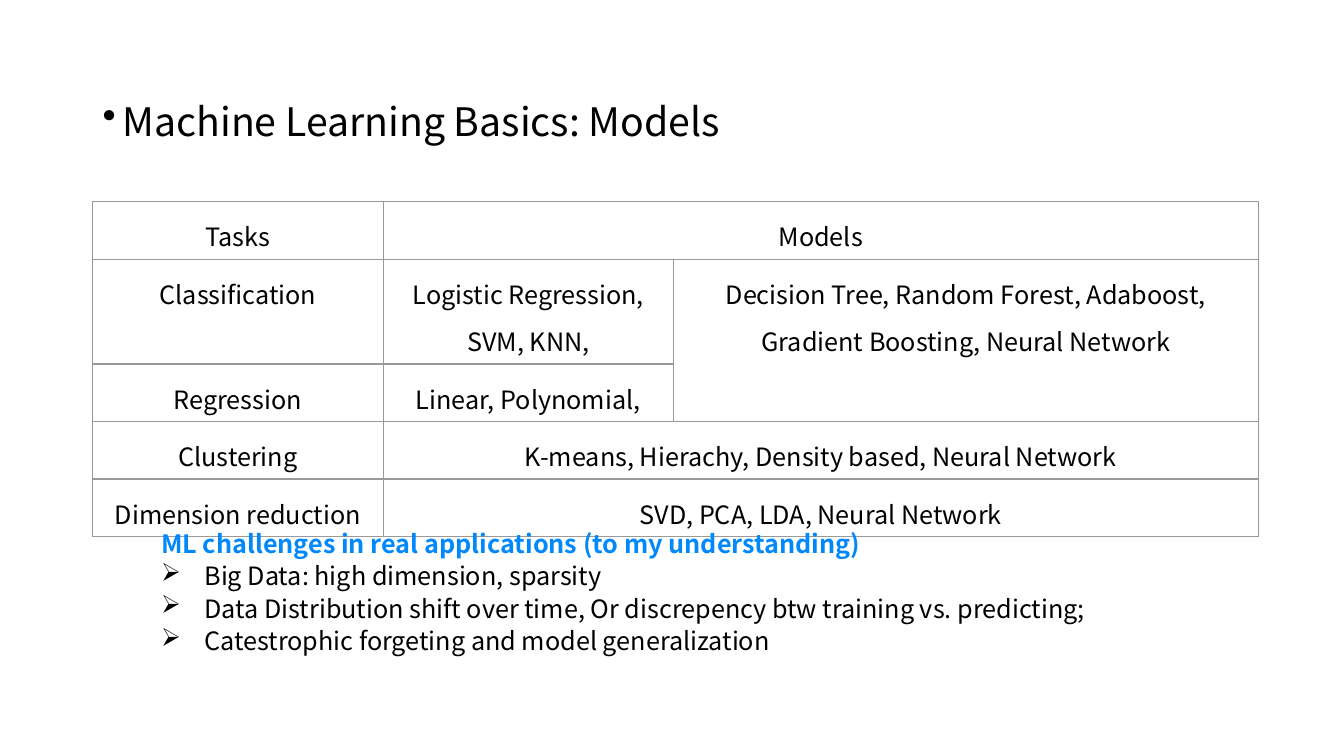
from lxml.etree import SubElement
from pptx import Presentation
from pptx.dml.color import RGBColor
from pptx.enum.text import MSO_ANCHOR, PP_ALIGN
from pptx.oxml.ns import qn
from pptx.util import Pt

EMU_PER_PX = 9144  # 100 px to the inch
FONT = "Noto Sans CJK SC"
BLACK = RGBColor(0x00, 0x00, 0x00)
WHITE = RGBColor(0xFF, 0xFF, 0xFF)
BLUE = RGBColor(0x01, 0x88, 0xFB)
GRID_GRAY = RGBColor(0x99, 0x99, 0x99)

COLUMN_WIDTHS = [288, 288, 580]
ROW_HEIGHT = 42
MODEL_ROWS = [
    ["Tasks", "Models"],
    ["Classification", "Logistic Regression, SVM, KNN,",
     "Decision Tree, Random Forest, Adaboost, Gradient Boosting, Neural Network"],
    ["Regression", "Linear, Polynomial,"],
    ["Clustering", "K-means, Hierachy, Density based, Neural Network"],
    ["Dimension reduction", "SVD, PCA, LDA, Neural Network"],
]
# Merged areas as (first cell, last cell)
MERGES = [((row, 1), (row, 2)) for row in (0, 3, 4)] + [((1, 2), (2, 2))]

CHALLENGES = [
    "Big Data: high dimension, sparsity",
    "Data Distribution shift over time, Or discrepency btw training vs. predicting;",
    "Catestrophic forgeting and model generalization",
]


def px(length):
    return length * EMU_PER_PX


def write(paragraph, text, size=18, color=BLACK, bold=False, spacing=1.3):
    paragraph.line_spacing = spacing
    run = paragraph.add_run()
    run.text = text
    run.font.name = FONT
    run.font.size = Pt(size)
    run.font.bold = bold
    run.font.color.rgb = color


def add_bullet(paragraph, symbol, indent):
    properties = paragraph._p.get_or_add_pPr()
    properties.set("marL", str(px(indent)))
    properties.set("indent", str(-px(indent)))
    SubElement(properties, qn("a:buChar")).set("char", symbol)


def add_text_frame(slide, left, top, width, height, anchor):
    box = slide.shapes.add_textbox(px(left), px(top), px(width), px(height))
    frame = box.text_frame
    frame.word_wrap = True
    frame.vertical_anchor = anchor
    return frame


def style_cell(cell):
    properties = cell._tc.get_or_add_tcPr()
    for side in ("a:lnL", "a:lnR", "a:lnT", "a:lnB"):
        border = SubElement(properties, qn(side))
        border.set("w", str(Pt(1)))
        border_fill = SubElement(border, qn("a:solidFill"))
        SubElement(border_fill, qn("a:srgbClr")).set("val", str(GRID_GRAY))
    cell.fill.solid()
    cell.fill.fore_color.rgb = WHITE


def add_model_table(slide):
    row_count, column_count = len(MODEL_ROWS), len(COLUMN_WIDTHS)
    models = slide.shapes.add_table(
        row_count, column_count, px(92), px(200),
        px(sum(COLUMN_WIDTHS)), px(ROW_HEIGHT * row_count)).table
    models.first_row = False
    models.horz_banding = False
    for column, width in zip(models.columns, COLUMN_WIDTHS):
        column.width = px(width)
    for cell in models.iter_cells():
        style_cell(cell)
    for first, last in MERGES:
        models.cell(*first).merge(models.cell(*last))
    for row, entries in enumerate(MODEL_ROWS):
        for column, entry in enumerate(entries):
            paragraph = models.cell(row, column).text_frame.paragraphs[0]
            paragraph.alignment = PP_ALIGN.CENTER
            write(paragraph, entry)


def add_title(slide):
    frame = add_text_frame(slide, 92, 40, 1150, 145, MSO_ANCHOR.MIDDLE)
    heading = frame.paragraphs[0]
    add_bullet(heading, "•", 20)
    write(heading, "Machine Learning Basics: Models", size=28)


def add_challenges(slide):
    frame = add_text_frame(slide, 150, 517, 1078, 150, MSO_ANCHOR.TOP)
    write(frame.paragraphs[0], "ML challenges in real applications (to my understanding)",
          color=BLUE, bold=True, spacing=1.07)
    for challenge in CHALLENGES:
        paragraph = frame.add_paragraph()
        add_bullet(paragraph, "➢", 43)
        write(paragraph, challenge, spacing=1.07)


def main():
    presentation = Presentation()
    presentation.slide_width = px(1333)
    presentation.slide_height = px(750)
    slide = presentation.slides.add_slide(presentation.slide_layouts[6])
    add_model_table(slide)
    add_title(slide)
    add_challenges(slide)
    presentation.save("out.pptx")


if __name__ == "__main__":
    main()
